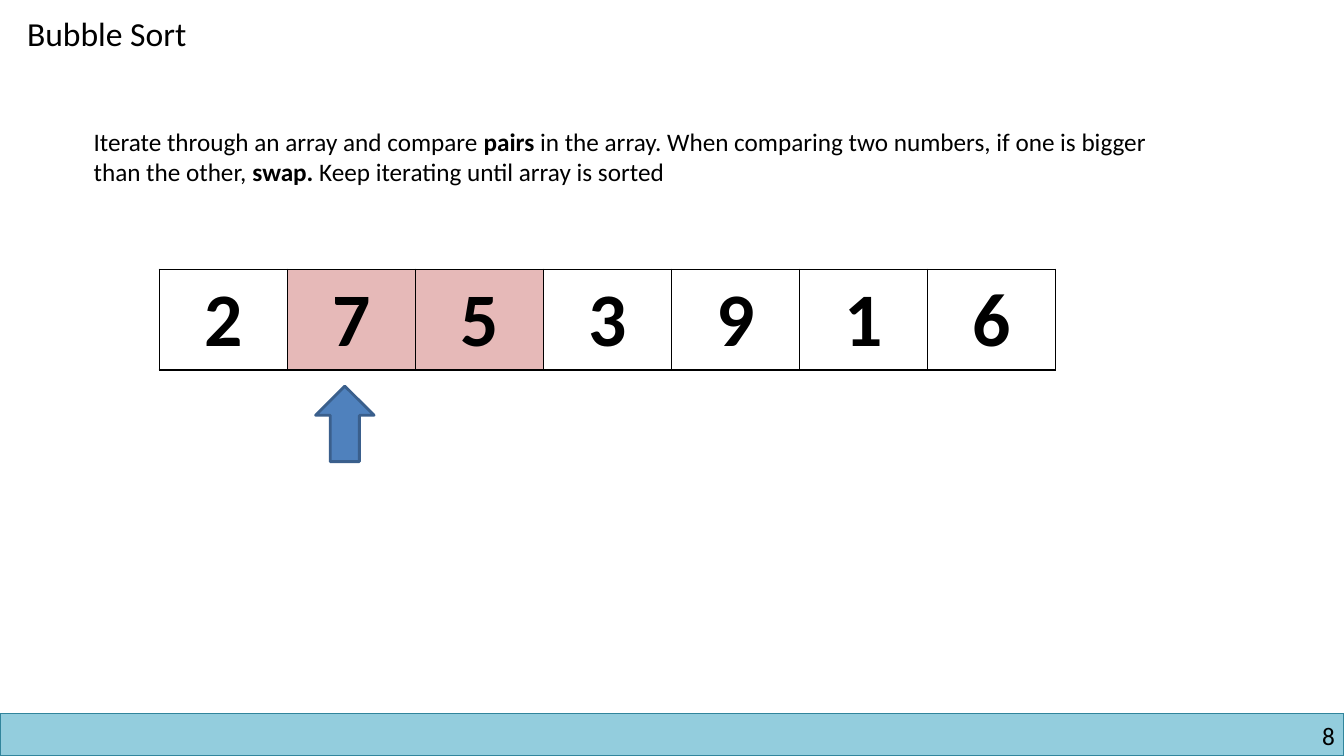
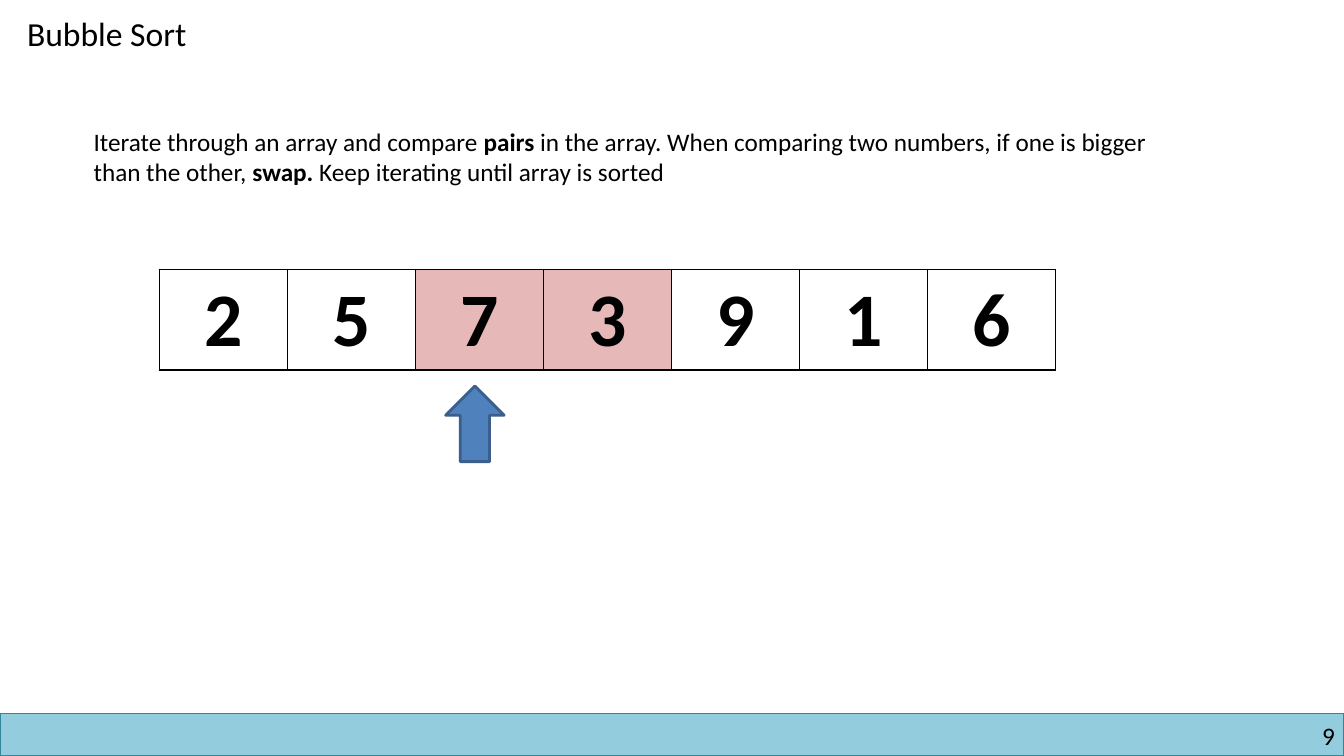
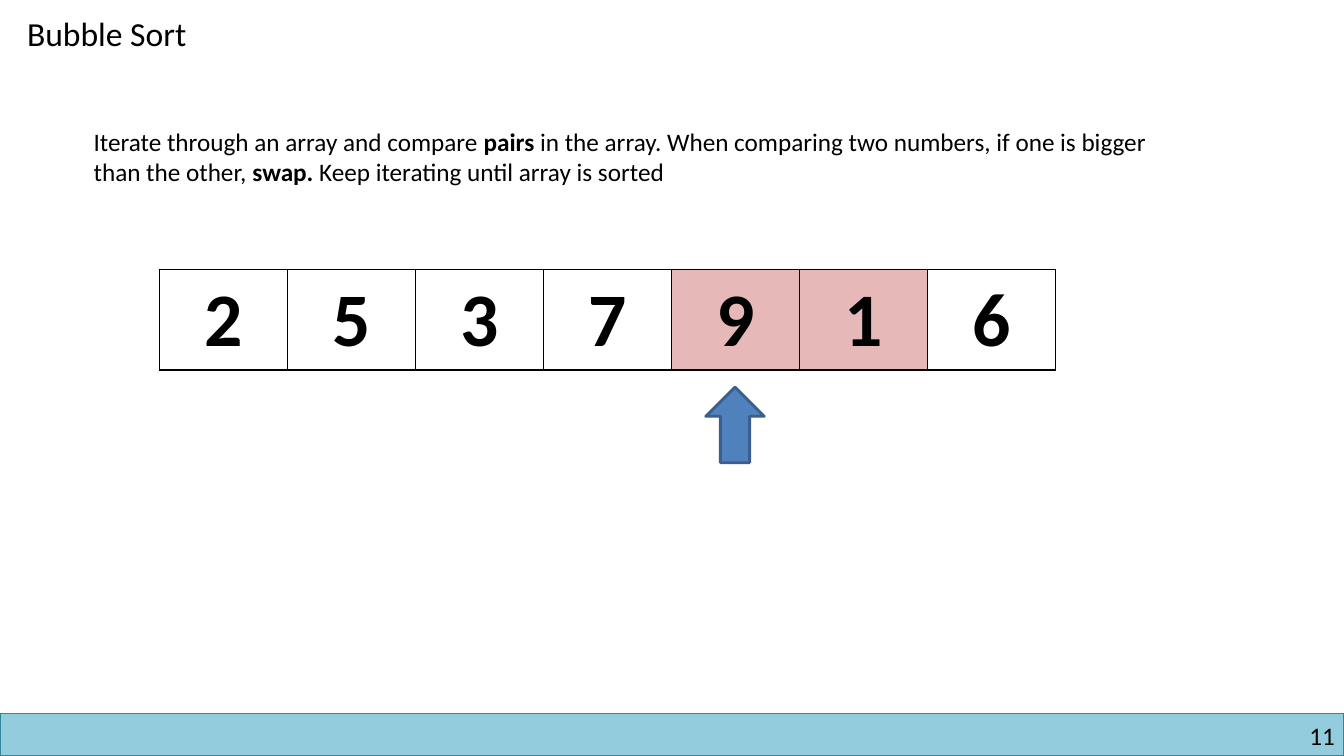
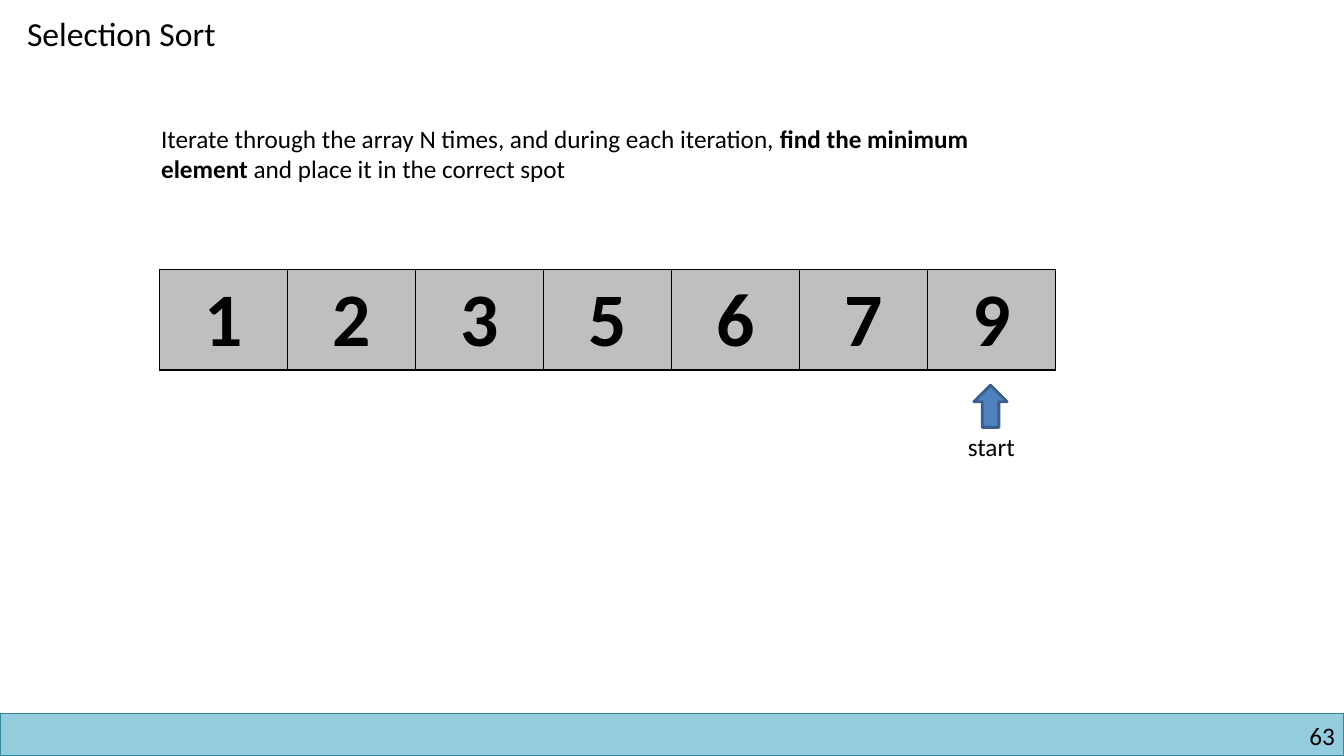
import pptx
import pptx.util
import pptx.dml.color
import pptx.enum.shapes
import pptx.enum.text
import pptx.oxml
import pptx.oxml.ns

Inches = pptx.util.Inches
Pt = pptx.util.Pt
RGBColor = pptx.dml.color.RGBColor
SHAPE = pptx.enum.shapes.MSO_SHAPE
ALIGN = pptx.enum.text.PP_ALIGN

FONT = "Calibri"
BLACK = RGBColor(0x00, 0x00, 0x00)
WHITE = RGBColor(0xFF, 0xFF, 0xFF)
PINK = RGBColor(0xE6, 0xB9, 0xB8)
GRAY = RGBColor(0xBF, 0xBF, 0xBF)
BAND_FILL = RGBColor(0x93, 0xCD, 0xDD)
BAND_LINE = RGBColor(0x31, 0x85, 0x9C)
ARROW_FILL = RGBColor(0x4F, 0x81, 0xBD)
ARROW_LINE = RGBColor(0x3A, 0x5F, 0x8C)

CELL_WIDTH = 1.27
BORDER_XML = (
    '<a:{side} {namespace} w="12700"><a:solidFill><a:srgbClr val="{color}"/>'
    "</a:solidFill></a:{side}>"
)

BUBBLE_TEXT = [
    ("Iterate through an array and compare ", False),
    ("pairs", True),
    (" in the array. When comparing two numbers, if one is bigger than the other, ", False),
    ("swap. ", True),
    ("Keep iterating until array is sorted", False),
]
SELECTION_TEXT = [
    ("Iterate through the array N times, and during each iteration, ", False),
    ("find the minimum element", True),
    (" and place it in the correct spot", False),
]

BUBBLE = {
    "title": "Bubble Sort", "title_width": 1.96,
    "text": BUBBLE_TEXT, "text_box": (0.83, 1.2, 11.08, 0.71),
    "highlight": PINK, "label": None,
}
SELECTION = {
    "title": "Selection Sort", "title_width": 2.3,
    "text": SELECTION_TEXT, "text_box": (1.5, 1.17, 8.83, 0.71),
    "highlight": GRAY, "label": "start",
}

# algorithm, slide number, array, highlighted positions, arrow box
STEPS = [
    (BUBBLE, "8", "2753916", (1, 2), (3.13, 3.83, 0.58, 0.75)),
    (BUBBLE, "9", "2573916", (2, 3), (4.42, 3.83, 0.58, 0.75)),
    (BUBBLE, "11", "2537916", (4, 5), (7, 3.84, 0.58, 0.75)),
    (SELECTION, "63", "1235679", range(7), (9.66, 3.82, 0.33, 0.42)),
]


def add_text(slide, box, runs, size=18, wrap=True, align=ALIGN.LEFT, margins=True):
    shape = slide.shapes.add_textbox(*map(Inches, box))
    frame = shape.text_frame
    frame.word_wrap = wrap
    frame.auto_size = pptx.enum.text.MSO_AUTO_SIZE.SHAPE_TO_FIT_TEXT
    if not margins:
        frame.margin_left = frame.margin_right = 0
        frame.margin_top = frame.margin_bottom = 0
    add_runs(frame.paragraphs[0], runs, size, align)


def add_runs(paragraph, runs, size, align):
    paragraph.alignment = align
    for text, bold in runs:
        run = paragraph.add_run()
        run.text = text
        run.font.name = FONT
        run.font.size = Pt(size)
        run.font.bold = bold
        run.font.color.rgb = BLACK


presentation = pptx.Presentation()
presentation.slide_width = Inches(13.33)
presentation.slide_height = Inches(7.5)

for algorithm, number, values, highlighted, arrow_box in STEPS:
    slide = presentation.slides.add_slide(presentation.slide_layouts[6])

    for kind, box, fill, line, width in [
        (SHAPE.RECTANGLE, (0, 7.08, 13.33, 0.42), BAND_FILL, BAND_LINE, 1),
        (SHAPE.UP_ARROW, arrow_box, ARROW_FILL, ARROW_LINE, 2),
    ]:
        shape = slide.shapes.add_shape(kind, *map(Inches, box))
        shape.shadow.inherit = False
        shape.fill.solid()
        shape.fill.fore_color.rgb = fill
        shape.line.color.rgb = line
        shape.line.width = Pt(width)

    add_text(slide, (10.17, 7.15, 3.07, 0.3), [(number, False)],
             align=ALIGN.RIGHT, margins=False)
    add_text(slide, (0.17, 0.08, algorithm["title_width"], 0.5),
             [(algorithm["title"], False)], size=24, wrap=False)
    add_text(slide, algorithm["text_box"], algorithm["text"])

    table = slide.shapes.add_table(
        1, len(values), Inches(1.58), Inches(2.67),
        Inches(CELL_WIDTH * len(values)), Inches(1),
    ).table
    table.first_row = False
    table.horz_banding = False
    for position, value in enumerate(values):
        table.columns[position].width = Inches(CELL_WIDTH)
        cell = table.cell(0, position)
        add_runs(cell.text_frame.paragraphs[0], [(value, True)], 54, ALIGN.CENTER)
        cell.fill.solid()
        cell.fill.fore_color.rgb = algorithm["highlight"] if position in highlighted else WHITE
        properties = cell._tc.get_or_add_tcPr()
        for index, side in enumerate(("lnL", "lnR", "lnT", "lnB")):
            border = BORDER_XML.format(
                side=side, namespace=pptx.oxml.ns.nsdecls("a"), color=BLACK)
            properties.insert(index, pptx.oxml.parse_xml(border))

    if algorithm["label"]:
        add_text(slide, (9.5, 4.23, 0.69, 0.4), [(algorithm["label"], False)], wrap=False)

presentation.save("out.pptx")
